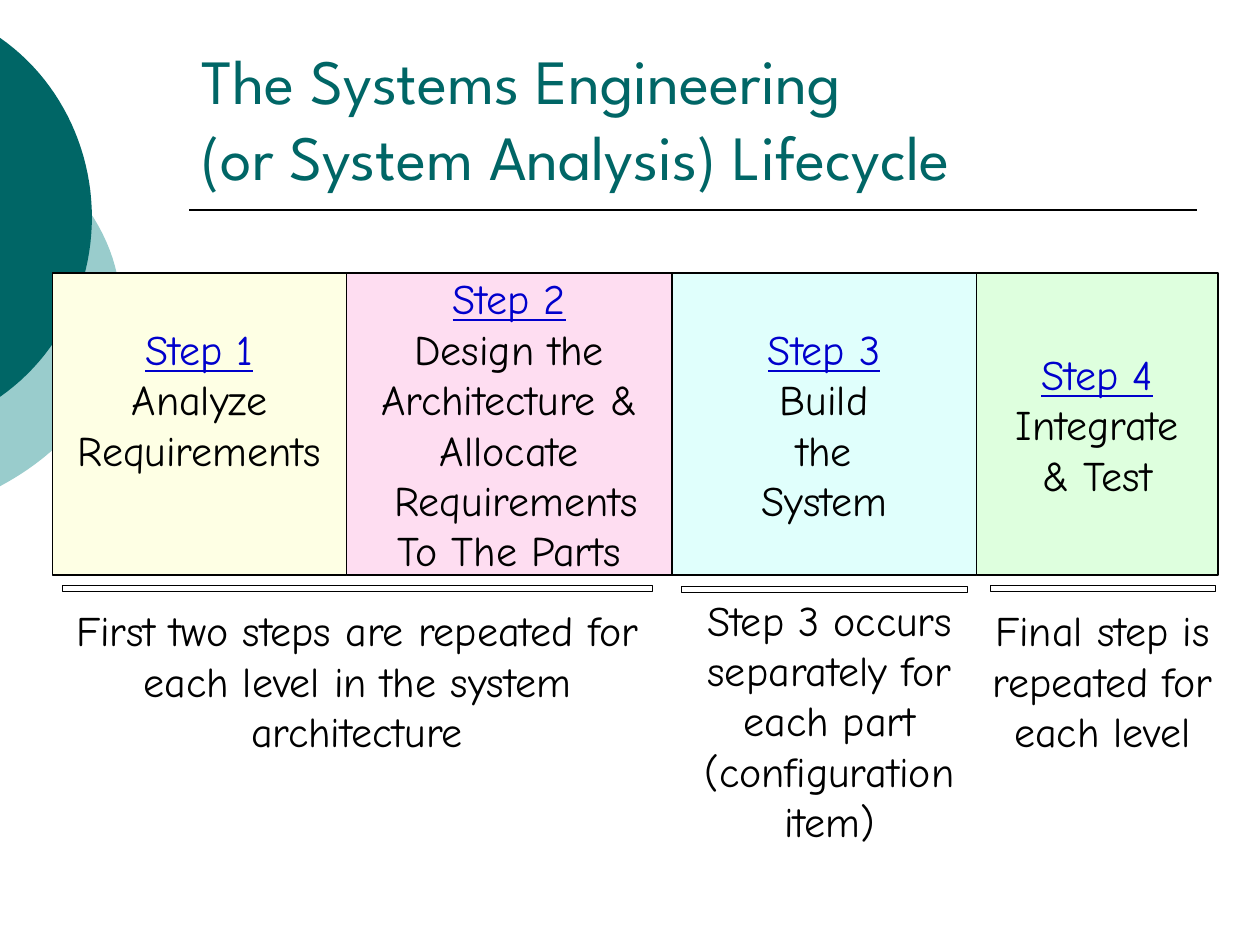
from dataclasses import dataclass

from lxml import etree
from pptx import Presentation
from pptx import util as u
from pptx.dml.color import RGBColor
from pptx.enum import shapes, text
from pptx.oxml.ns import qn

COLS, ROWS = 120, 90
CELL = u.Inches(10) // COLS


@dataclass(frozen=True)
class Theme:
    """Colours, fonts and type sizes of the slide."""
    dark: str = "006666"
    light: str = "99CCCC"
    ink: str = "000000"
    paper: str = "FFFFFF"
    link: str = "0000CC"
    head_font: str = "League Spartan"
    body_font: str = "Comic Neue"
    head_size: int = 36
    body_size: int = 24


T = Theme()
STEPS = [
    (5, 28, "FEFFE4", ["Step 1", "Analyze", "Requirements"]),
    (33, 31, "FEDDF1", ["Step 2", "Design the", "Architecture & Allocate",
                        "Requirements", "To The Parts"]),
    (64, 29, "E0FFFC", ["Step 3", "Build", "the", "System"]),
    (93, 23, "DEFFDE", ["Step 4", "Integrate", "& Test"]),
]
CAPTIONS = [
    ((6, 57, 56, 15.6), "First two steps are repeated for each level in the system architecture"),
    ((64, 56, 30, 25.4), "Step 3 occurs separately for each part (configuration item)"),
    ((93, 57, 24, 20.4), "Final step is repeated for each level"),
]
BARS = [(-4.2, 54.84, 76.44, 2.4), (60, 55, 37, 2.28), (90.48, 54.84, 29.16, 2.4)]


def grid(*cells):
    """Turn grid units into slide lengths."""
    return [u.Emu(round(c * CELL)) for c in cells]


def rgb(value):
    """Return a colour from its hex digits."""
    return RGBColor.from_string(value)


def style(p, font, size, color, align, underline=False):
    """Format a whole paragraph."""
    p.alignment = align
    p.font.name, p.font.size = font, u.Pt(size)
    p.font.color.rgb, p.font.underline = rgb(color), underline


def add_box(s, kind, box, fill, width):
    """Add a filled, outlined preset shape."""
    sp = s.shapes.add_shape(kind, *grid(*box))
    sp.shadow.inherit = False
    sp.fill.solid()
    sp.fill.fore_color.rgb = rgb(fill)
    sp.line.color.rgb, sp.line.width = rgb(T.ink), u.Pt(width)
    return sp


def add_lobe(s, top, reach, height, bend, color):
    """Add a rounded lobe that grows from the left edge of the slide."""
    half, n = height / 2, 24
    arc = []
    for t in (i / n for i in range(n + 1)):
        x = 3 * (1 - t) ** 2 * t * bend[0] + (3 * (1 - t) * t ** 2 + t ** 3) * reach
        y = 3 * (1 - t) ** 2 * t * bend[1] + 3 * (1 - t) * t ** 2 * bend[2] + t ** 3 * half
        arc.append((x, top + y))
    arc += [(x, 2 * top + height - y) for x, y in reversed(arc[:-1])]
    fb = s.shapes.build_freeform(*grid(*arc[0]))
    fb.add_line_segments([grid(*point) for point in arc[1:]])
    sp = fb.convert_to_shape()
    sp.shadow.inherit = False
    sp.fill.solid()
    sp.fill.fore_color.rgb = rgb(color)
    sp.line.fill.background()


def add_header(s, box):
    """Fill the title placeholder and draw the rule below it."""
    left, top, width, height = box
    sp = s.shapes.title
    sp.left, sp.top, sp.width, sp.height = grid(*box)
    tf = sp.text_frame
    tf.auto_size = text.MSO_AUTO_SIZE.NONE
    tf.vertical_anchor = text.MSO_ANCHOR.BOTTOM
    tf.text = "The Systems Engineering\v(or System Analysis) Lifecycle"
    style(tf.paragraphs[0], T.head_font, T.head_size, T.dark, text.PP_ALIGN.LEFT)
    y = top + height + 1
    rule = s.shapes.add_connector(shapes.MSO_CONNECTOR.STRAIGHT,
                                  *grid(left, y, left + width, y))
    rule.line.color.rgb, rule.line.width = rgb(T.ink), u.Pt(1)
    etree.SubElement(rule._element.spPr, qn("a:effectLst"))


def add_step(s, box, fill, lines):
    """Add one step box with an underlined heading."""
    tf = add_box(s, shapes.MSO_SHAPE.RECTANGLE, box, fill, 1).text_frame
    tf.word_wrap = True
    tf.vertical_anchor = text.MSO_ANCHOR.MIDDLE
    for i, line in enumerate(lines):
        p = tf.paragraphs[0] if i == 0 else tf.add_paragraph()
        p.text = line
        style(p, T.body_font, T.body_size, T.ink if i else T.link,
              text.PP_ALIGN.CENTER, underline=i == 0)
    return tf


def add_steps(s, top, height):
    """Lay the four steps side by side."""
    frames = [add_step(s, (left, top, width, height), fill, lines)
              for left, width, fill, lines in STEPS]
    frames[0].margin_bottom = u.Inches(0.45)
    frames[1].paragraphs[3]._p.get_or_add_pPr().set("marL", str(u.Inches(0.11)))


def add_caption(s, box, words):
    """Add a centred note below the steps."""
    tf = s.shapes.add_textbox(*grid(*box)).text_frame
    tf.word_wrap = True
    tf.text = words
    style(tf.paragraphs[0], T.body_font, T.body_size, T.ink, text.PP_ALIGN.CENTER)


def main():
    """Build and save the slide."""
    prs = Presentation()
    prs.slide_width, prs.slide_height = grid(COLS, ROWS)
    s = prs.slides.add_slide(prs.slide_layouts[5])
    s.background.fill.solid()
    s.background.fill.fore_color.rgb = rgb(T.paper)
    add_lobe(s, 12.72, 11.52, 33.6, (7.2, 3.84, 10.08), T.light)
    add_lobe(s, 3.6, 8.76, 34.2, (5.52, 3.84, 10.32), T.dark)
    add_header(s, (18, 4, 96, 15))
    add_steps(s, 26, 28.8)
    for box, words in CAPTIONS:
        add_caption(s, box, words)
    for box in BARS:
        add_box(s, shapes.MSO_SHAPE.MATH_MINUS, box, T.paper, 0.25)
    prs.save("out.pptx")


if __name__ == "__main__":
    main()
